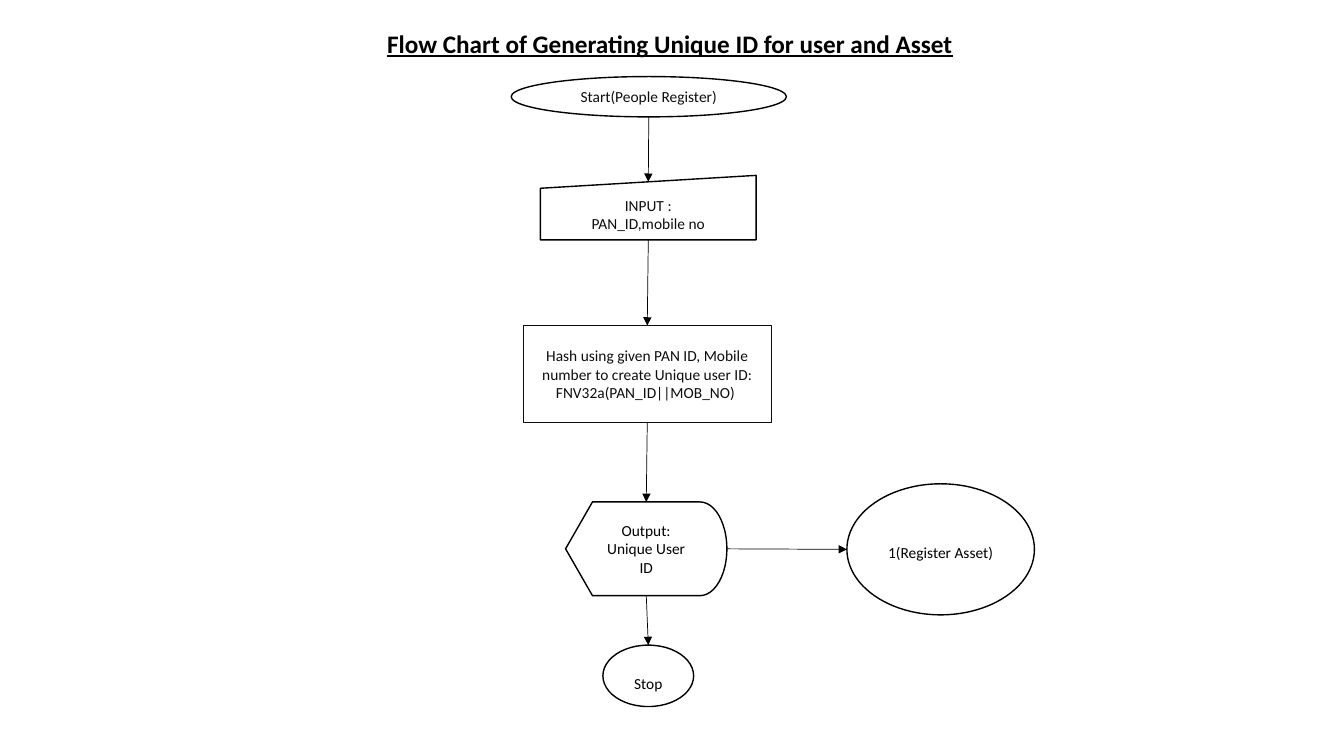
from dataclasses import dataclass

from lxml import etree
from pptx import Presentation
from pptx.dml.color import RGBColor
from pptx.enum.shapes import MSO_CONNECTOR, MSO_SHAPE as Shape
from pptx.enum.text import MSO_ANCHOR as Anchor, PP_ALIGN as Align
from pptx.oxml.ns import qn
from pptx.util import Inches, Pt

BLACK = RGBColor(0x00, 0x00, 0x00)
INK = RGBColor(0x0D, 0x0D, 0x0D)
WHITE = RGBColor(0xFF, 0xFF, 0xFF)
FONT = "Calibri"
TITLE_ONLY = 5


@dataclass
class Box:
    """A rectangle in inches."""
    left: float
    top: float
    width: float
    height: float

    def inside(self, left, top, width, height):
        """Return a box placed relative to this one's top left corner."""
        return Box(self.left + left, self.top + top, width, height)

    def lengths(self):
        """Return left, top, width and height as lengths."""
        return [Inches(value) for value in
                (self.left, self.top, self.width, self.height)]

    def point(self, across, down):
        """Return the point at the given fractions of width and height."""
        return self.left + self.width * across, self.top + self.height * down


def format_text(text_frame, size, color, align):
    """Apply font and alignment to all text in a frame."""
    for paragraph in text_frame.paragraphs:
        paragraph.alignment = align
        for run in paragraph.runs:
            run.font.name = FONT
            run.font.size = Pt(size)
            run.font.color.rgb = color


def add_node(slide, kind, box, text, color=BLACK, outline=BLACK,
             anchor=Anchor.MIDDLE, bottom_inset=0.05):
    """Add one outlined flow chart symbol with centred text."""
    shape = slide.shapes.add_shape(kind, *box.lengths())
    shape.shadow.inherit = False
    shape.fill.solid()
    shape.fill.fore_color.rgb = WHITE
    shape.line.color.rgb = outline
    shape.line.width = Pt(1)
    text_frame = shape.text_frame
    text_frame.word_wrap = True
    text_frame.vertical_anchor = anchor
    text_frame.margin_bottom = Inches(bottom_inset)
    text_frame.text = text
    format_text(text_frame, 11, color, Align.CENTER)


def add_arrow(slide, start, end):
    """Add a thin arrow between two points in inches."""
    arrow = slide.shapes.add_connector(
        MSO_CONNECTOR.STRAIGHT, *[Inches(value) for value in (*start, *end)])
    arrow.line.color.rgb = BLACK
    arrow.line.width = Pt(0.5)
    etree.SubElement(arrow.line._get_or_add_ln(), qn("a:tailEnd"),
                     type="triangle")
    etree.SubElement(arrow._element.spPr, qn("a:effectLst"))


def add_title(slide, box, text):
    """Place and format the underlined slide title."""
    title = slide.shapes.title
    title.left, title.top, title.width, title.height = box.lengths()
    text_frame = title.text_frame
    text_frame.text = text
    text_frame.word_wrap = True
    text_frame.vertical_anchor = Anchor.TOP
    format_text(text_frame, 18, BLACK, Align.LEFT)
    font = text_frame.paragraphs[0].runs[0].font
    font.bold = font.underline = True


def add_main_flow(slide, box):
    """Draw the vertical flow from start to stop; return the output box."""
    start = box.inside(0, 0, 2.73, 0.4)
    entry = box.inside(0.29, 0.98, 2.14, 0.64)
    hashing = box.inside(0.12, 2.47, 2.46, 0.96)
    output = box.inside(0.54, 4.22, 1.6, 0.93)
    stop = box.inside(0.91, 5.64, 0.9, 0.61)

    add_node(slide, Shape.OVAL, start, "Start(People Register)", INK)
    add_node(slide, Shape.FLOWCHART_MANUAL_INPUT, entry,
             "INPUT :\vPAN_ID,mobile no", INK)
    add_node(slide, Shape.FLOWCHART_PROCESS, hashing,
             "Hash using given PAN ID, Mobile number to create Unique user ID: "
             "FNV32a(PAN_ID||MOB_NO) ", INK, INK)
    add_node(slide, Shape.FLOWCHART_DISPLAY, output,
             "Output:\nUnique User ID")
    add_node(slide, Shape.FLOWCHART_CONNECTOR, stop, "Stop",
             anchor=Anchor.BOTTOM)

    steps = [start, entry, hashing, output, stop]
    for upper, lower in zip(steps, steps[1:]):
        # The slanted top edge of the input symbol is lower at its middle.
        edge = 0.1 if lower is entry else 0
        add_arrow(slide, upper.point(0.5, 1), lower.point(0.5, edge))
    return output


def add_asset_branch(slide, box, output):
    """Draw the asset connector and the arrow leading to it."""
    add_node(slide, Shape.FLOWCHART_CONNECTOR, box, "1(Register Asset)",
             anchor=Anchor.BOTTOM, bottom_inset=0.34)
    add_arrow(slide, output.point(1, 0.5), box.point(0, 0.5))


def main():
    """Build and save the presentation."""
    presentation = Presentation()
    presentation.slide_width = Inches(13.33)
    presentation.slide_height = Inches(7.5)
    slide = presentation.slides.add_slide(
        presentation.slide_layouts[TITLE_ONLY])
    add_title(slide, Box(3.74, 0.23, 9.31, 0.4),
              "Flow Chart of Generating Unique ID for user and Asset")
    output = add_main_flow(slide, Box(5.07, 0.76, 2.73, 6.25))
    add_asset_branch(slide, Box(8.4, 4.8, 1.86, 1.3), output)
    presentation.save("out.pptx")


main()
